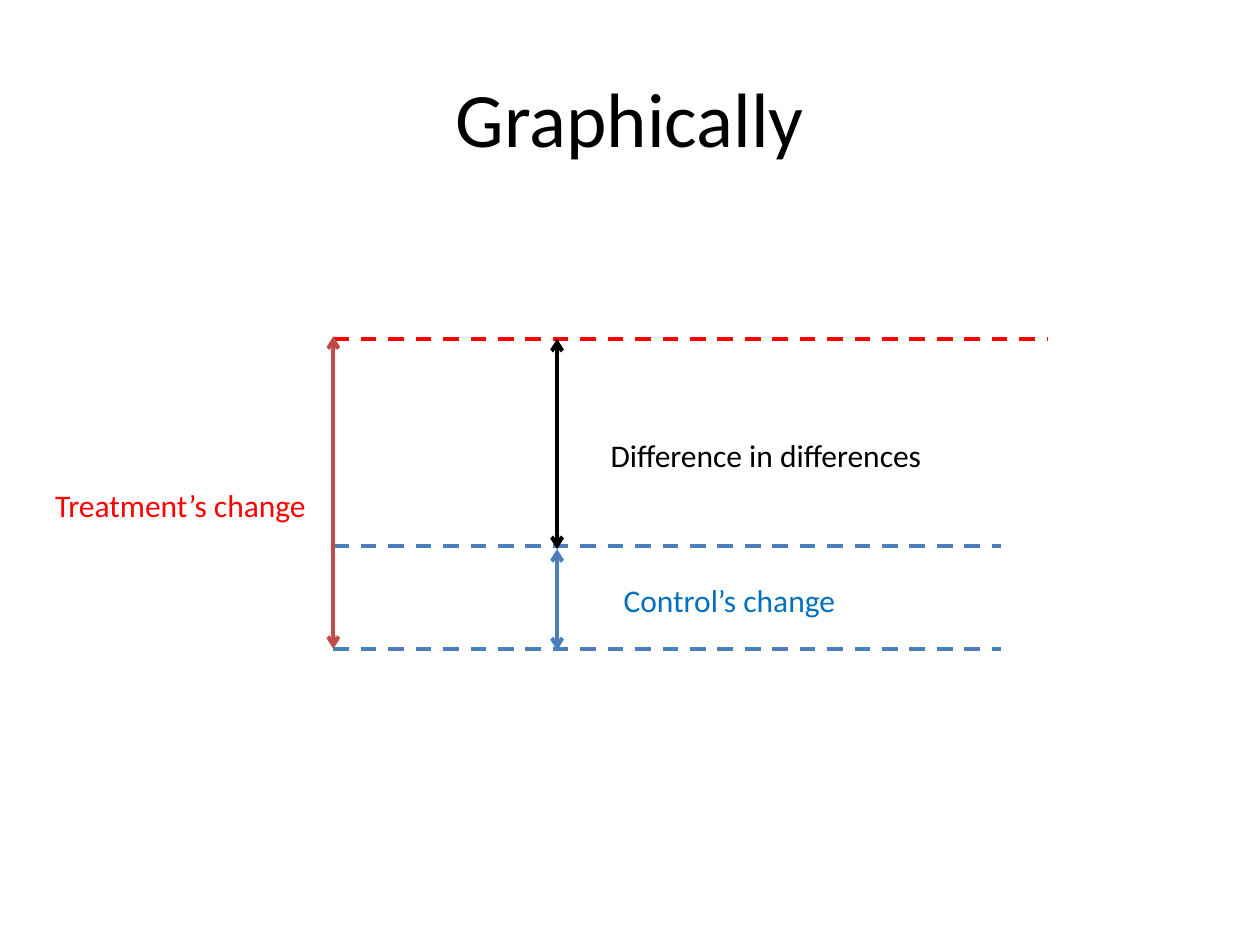
from pptx import Presentation
from pptx.dml.color import RGBColor
from pptx.enum.dml import MSO_LINE
from pptx.enum.shapes import MSO_CONNECTOR
from pptx.enum.text import MSO_ANCHOR, PP_ALIGN
from pptx.oxml.ns import qn
from pptx.util import Cm, Pt
from lxml import etree

STRAIGHT = MSO_CONNECTOR.STRAIGHT
DASH = MSO_LINE.DASH
TOP, MIDDLE = MSO_ANCHOR.TOP, MSO_ANCHOR.MIDDLE
LEFT, CENTER = PP_ALIGN.LEFT, PP_ALIGN.CENTER

BLACK = RGBColor(0x00, 0x00, 0x00)
RED = RGBColor(0xFF, 0x00, 0x00)
BRICK = RGBColor(0xBF, 0x4C, 0x48)
STEEL = RGBColor(0x4B, 0x7E, 0xBC)
BLUE = RGBColor(0x00, 0x70, 0xC0)

deck = Presentation()
deck.slide_width, deck.slide_height = Cm(25.4), Cm(19.05)
slide = deck.slides.add_slide(deck.slide_layouts[6])


def add_line(x1, y1, x2, y2, color):
    line = slide.shapes.add_connector(STRAIGHT, Cm(x1), Cm(y1), Cm(x2), Cm(y2))
    line.line.color.rgb = color
    line.line.width = Pt(2.25)
    etree.SubElement(line._element.spPr, qn("a:effectLst"))
    return line


def add_text(text, x, y, w, h, size, color, align=LEFT, anchor=TOP):
    frame = slide.shapes.add_textbox(Cm(x), Cm(y), Cm(w), Cm(h)).text_frame
    frame.word_wrap = True
    frame.vertical_anchor = anchor
    para = frame.paragraphs[0]
    para.alignment = align
    run = para.add_run()
    run.text = text
    run.font.name = "Calibri"
    run.font.size = Pt(size)
    run.font.color.rgb = color


# Levels of the outcome and the x positions of the arrows
high, mid, low = 6.83, 11, 13.08
edge, inner = 6.72, 11.23

# Dashed level lines
for level, end, color in [(mid, 20.17, STEEL), (low, 20.17, STEEL),
                          (high, 21.11, RED)]:
    add_line(edge, level, end, level, color).line.dash_style = DASH

# Double-headed arrows for the changes
for x, start, end, color in [(edge, low, 6.78, BRICK),
                             (inner, 13.11, 11.07, STEEL),
                             (inner, 11.07, high, BLACK)]:
    arrow = add_line(x, start, x, end, color)
    outline = arrow.line._get_or_add_ln()
    for tag in ("a:headEnd", "a:tailEnd"):
        etree.SubElement(outline, qn(tag), type="arrow")

# Title and labels
add_text("Graphically", 1.27, 0.76, 22.86, 3.18, 44, BLACK, CENTER, MIDDLE)
for text, x, y, w, color in [
        ("Treatment’s change", 0.86, 9.68, 5.64, RED),
        ("Control’s change", 12.32, 11.58, 7.82, BLUE),
        ("Difference in differences", 12.06, 8.66, 7.82, BLACK)]:
    add_text(text, x, y, w, 1.02, 18, color)

deck.save("out.pptx")
